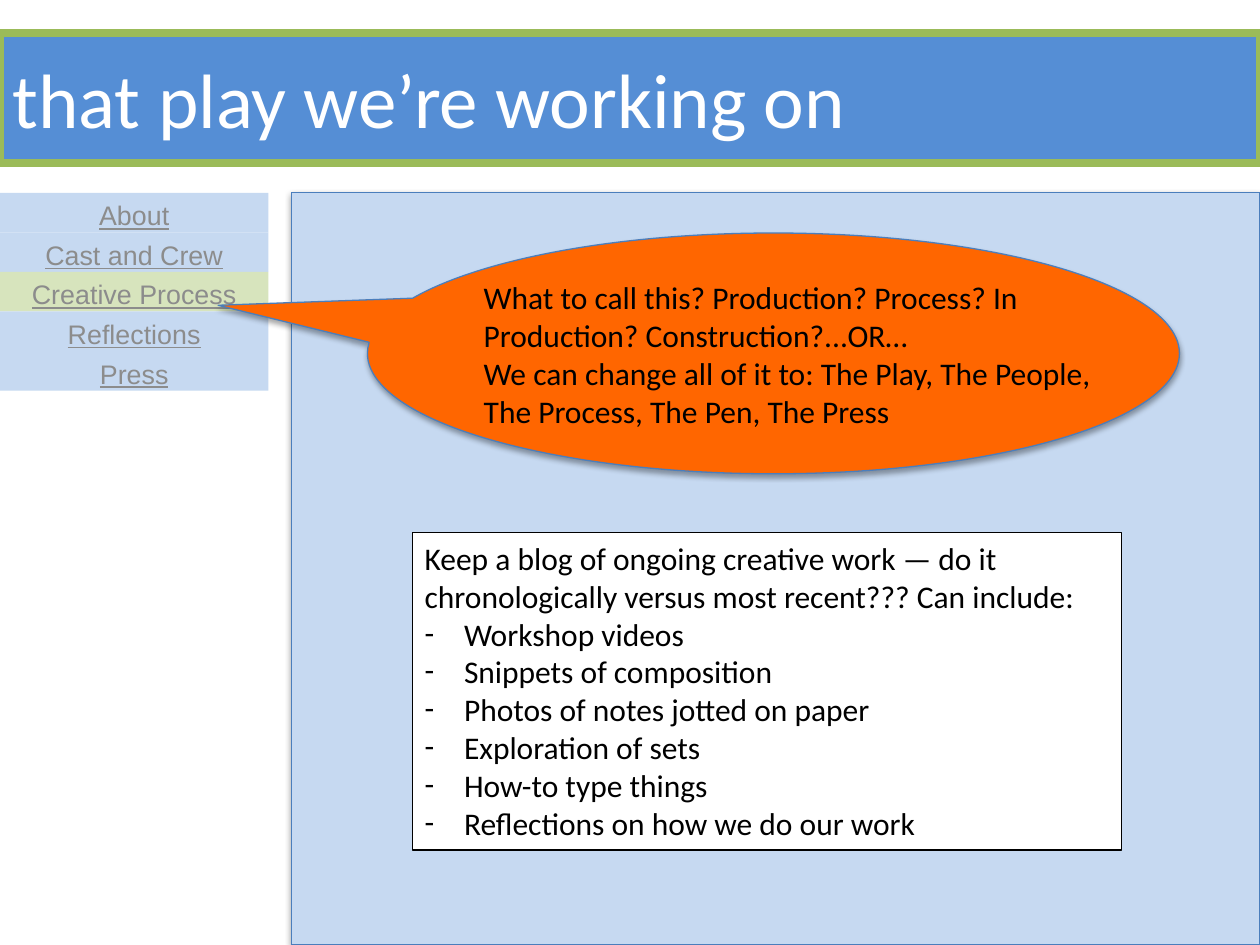
import pptx
import pptx.util
import pptx.dml.color
import pptx.enum.shapes
import pptx.enum.text
import pptx.oxml.ns
from lxml import etree

Pt = pptx.util.Pt
RGBColor = pptx.dml.color.RGBColor
MSO_SHAPE = pptx.enum.shapes.MSO_SHAPE
PP_ALIGN = pptx.enum.text.PP_ALIGN
MSO_ANCHOR = pptx.enum.text.MSO_ANCHOR
qn = pptx.oxml.ns.qn

TITLE = "that play we’re working on"
MENU = ["About", "Cast and Crew", "Creative Process", "Reflections", "Press"]
CURRENT_PAGE = "Creative Process"
BLOG_INTRO = ("Keep a blog of ongoing creative work — do it "
              "chronologically versus most recent??? Can include:")
BLOG_ITEMS = [
    "Workshop videos",
    "Snippets of composition",
    "Photos of notes jotted on paper",
    "Exploration of sets",
    "How-to type things",
    "Reflections on how we do our work",
]
QUESTION = ("What to call this? Production? Process? In Production? Construction?...OR…\v"
            "We can change all of it to: The Play, The People, \v"
            "The Process, The Pen, The Press")

WHITE = RGBColor(0xFF, 0xFF, 0xFF)
BLACK = RGBColor(0x00, 0x00, 0x00)
GRAY = RGBColor(0x8C, 0x8C, 0x8C)
BLUE = RGBColor(0x55, 0x8E, 0xD5)
PALE_BLUE = RGBColor(0xC6, 0xD9, 0xF1)
EDGE_BLUE = RGBColor(0x4B, 0x7E, 0xBC)
GREEN = RGBColor(0x9B, 0xBB, 0x59)
PALE_GREEN = RGBColor(0xD7, 0xE4, 0xBD)
ORANGE = RGBColor(0xFF, 0x66, 0x00)

CONTENT_TOP = 110.2
MENU_WIDTH, MENU_PITCH = 153.4, 22.6
BULLET_INDENT = 22.5


def place(shape, left, top, width, height):
    """Set the position and size of a shape in points."""
    shape.left, shape.top = Pt(left), Pt(top)
    shape.width, shape.height = Pt(width), Pt(height)


def paint(shape, fill, line=None, line_width=0.75):
    """Give a shape a solid fill and an optional outline."""
    shape.fill.solid()
    shape.fill.fore_color.rgb = fill
    if line is None:
        shape.line.fill.background()
    else:
        shape.line.color.rgb = line
        shape.line.width = Pt(line_width)


def add_box(slide, kind, box, fill, line=None):
    """Add a painted preset shape without a shadow."""
    shape = slide.shapes.add_shape(kind, *map(Pt, box))
    paint(shape, fill, line)
    shape.shadow.inherit = False
    return shape


def add_shadow(shape):
    """Put a soft shadow below a shape."""
    effects = shape._element.spPr.find(qn("a:effectLst"))
    shadow = etree.SubElement(effects, qn("a:outerShdw"), blurRad=str(Pt(3.1)),
                              dist=str(Pt(1.8)), dir="5400000", rotWithShape="0")
    color = etree.SubElement(shadow, qn("a:srgbClr"), val="000000")
    etree.SubElement(color, qn("a:alpha"), val="35000")


def style(paragraph, size, color, font="Calibri", alignment=PP_ALIGN.LEFT):
    """Set the font and alignment of a paragraph."""
    paragraph.alignment = alignment
    paragraph.font.name = font
    paragraph.font.size = Pt(size)
    paragraph.font.color.rgb = color


def add_dash(paragraph):
    """Give a paragraph a hanging dash bullet."""
    properties = paragraph._p.get_or_add_pPr()
    properties.set("marL", str(Pt(BULLET_INDENT)))
    properties.set("indent", str(-Pt(BULLET_INDENT)))
    etree.SubElement(properties, qn("a:buFont"), typeface="Calibri")
    bullet = etree.SubElement(properties, qn("a:buChar"), char="-")
    default_font = properties.find(qn("a:defRPr"))
    if default_font is not None:
        properties.append(default_font)


def add_title(slide):
    """Fill the title placeholder as a banner."""
    title = slide.shapes.title
    place(title, 0, 18.9, 720, 74)
    paint(title, BLUE, GREEN, 4.5)
    title.text_frame.text = TITLE
    title.text_frame.auto_size = pptx.enum.text.MSO_AUTO_SIZE.NONE
    title.text_frame.vertical_anchor = MSO_ANCHOR.MIDDLE
    style(title.text_frame.paragraphs[0], 44, WHITE)


def add_menu(slide):
    """Stack the menu entries and highlight the current page."""
    for row, label in enumerate(MENU):
        fill = PALE_GREEN if label == CURRENT_PAGE else PALE_BLUE
        box = (0, CONTENT_TOP + row * MENU_PITCH, MENU_WIDTH, MENU_PITCH)
        entry = add_box(slide, MSO_SHAPE.RECTANGLE, box, fill)
        entry.text_frame.text = label
        entry.text_frame.vertical_anchor = MSO_ANCHOR.TOP
        paragraph = entry.text_frame.paragraphs[0]
        style(paragraph, 15.3, GRAY, "Arial", PP_ALIGN.CENTER)
        paragraph.font.underline = True


def add_blog_note(slide):
    """Add the note that lists what the blog can include."""
    note = add_box(slide, MSO_SHAPE.RECTANGLE, (235.6, 304.4, 405.3, 181.4), WHITE, BLACK)
    frame = note.text_frame
    frame.vertical_anchor = MSO_ANCHOR.TOP
    frame.text = "\n".join([BLOG_INTRO] + BLOG_ITEMS)
    for paragraph in frame.paragraphs:
        style(paragraph, 18, BLACK)
    for paragraph in frame.paragraphs[1:]:
        add_dash(paragraph)


def add_question(slide):
    """Add the callout that points at the current menu entry."""
    callout = add_box(slide, MSO_SHAPE.OVAL_CALLOUT, (210, 133.2, 464, 137.6),
                      ORANGE, EDGE_BLUE)
    callout.adjustments[0], callout.adjustments[1] = -0.684, -0.2
    add_shadow(callout)
    text_box = slide.shapes.add_textbox(*map(Pt, (269.3, 155.5, 397.4, 94.5)))
    text_box.text_frame.word_wrap = True
    text_box.text_frame.text = QUESTION
    style(text_box.text_frame.paragraphs[0], 18, BLACK)


presentation = pptx.Presentation()
presentation.slide_width, presentation.slide_height = Pt(720), Pt(540)
slide = presentation.slides.add_slide(presentation.slide_layouts[5])
add_title(slide)
add_menu(slide)
panel = add_box(slide, MSO_SHAPE.RECTANGLE, (166.8, CONTENT_TOP, 553.2, 540 - CONTENT_TOP),
                PALE_BLUE, EDGE_BLUE)
add_shadow(panel)
add_blog_note(slide)
add_question(slide)
presentation.save("out.pptx")
